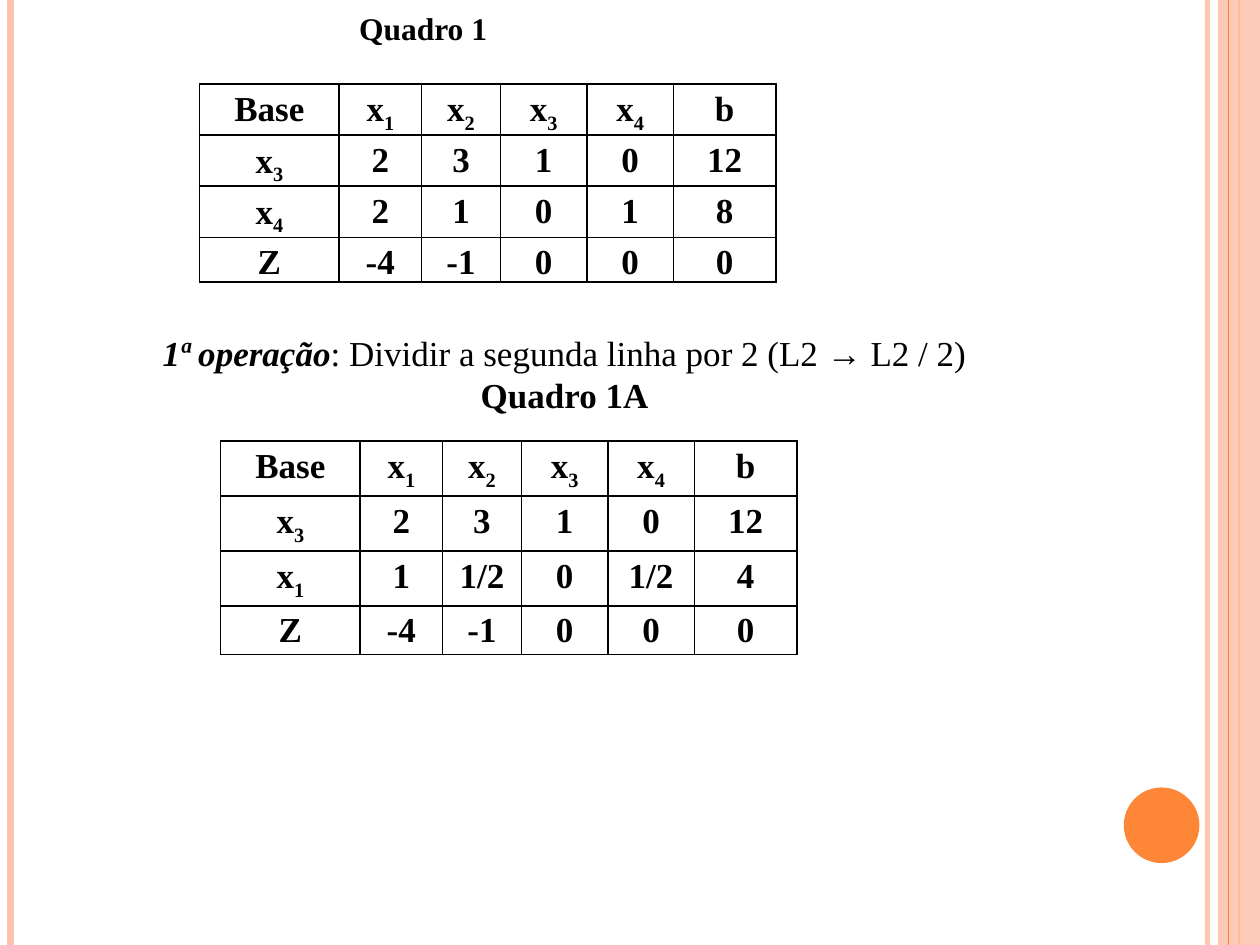
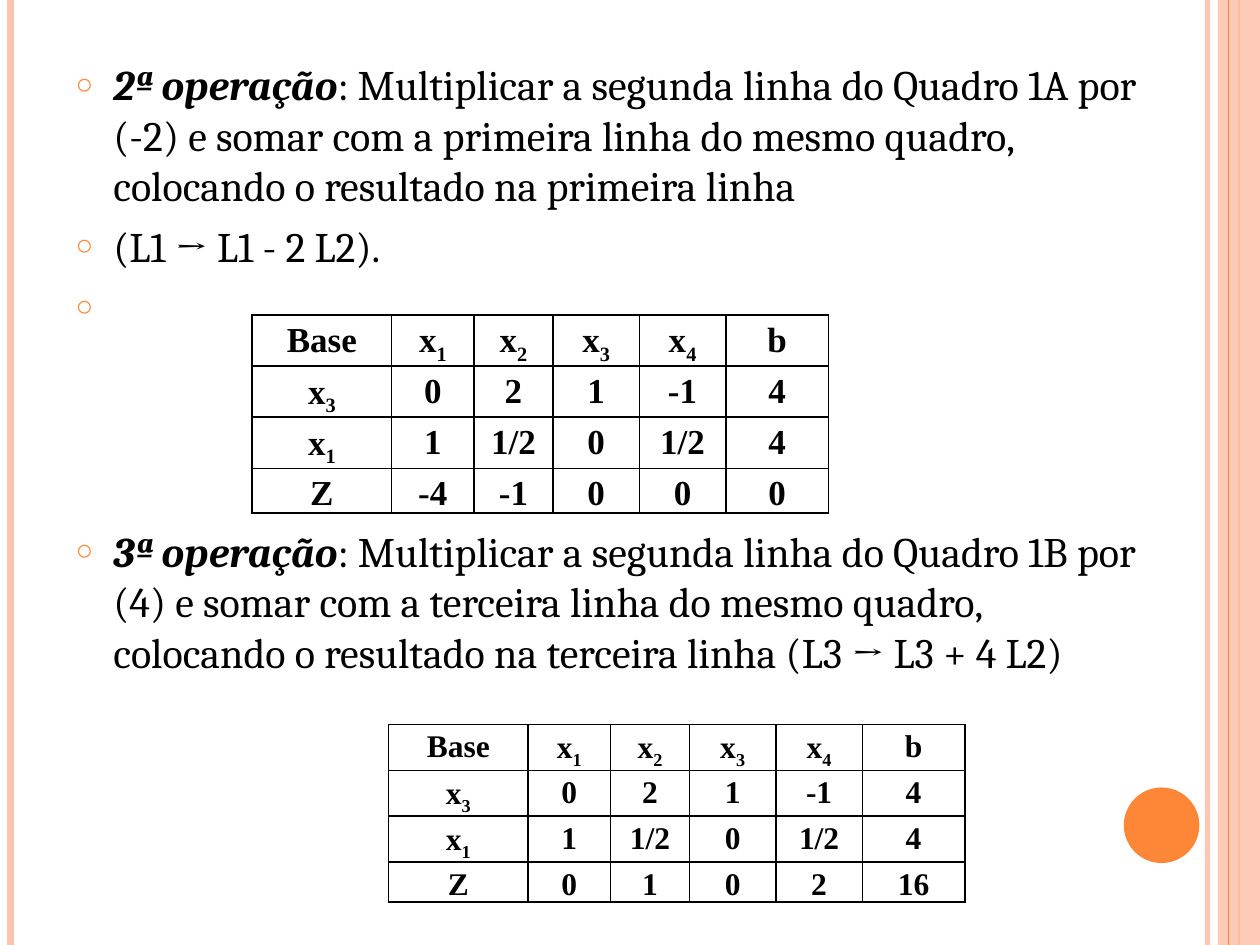
from pptx import Presentation
from pptx.dml.color import RGBColor
from pptx.enum.shapes import MSO_CONNECTOR, MSO_SHAPE
from pptx.enum.text import MSO_ANCHOR, MSO_AUTO_SIZE, PP_ALIGN
from pptx.oxml import parse_xml
from pptx.oxml.ns import nsdecls
from pptx.util import Pt
from lxml.etree import SubElement

ORANGE = RGBColor(0xFE, 0x86, 0x37)
PEACH = RGBColor(0xFE, 0xC3, 0xAE)
BLACK = RGBColor(0, 0, 0)
SERIF = "Times New Roman"
BODY_FONT = "Cambria"
PAGE_WIDTH, PAGE_HEIGHT = 720, 540
COLUMN_WIDTHS = [79.8, 47.1, 45.1, 49.4, 49.4, 58.6]
HEADER = ["Base", "x1", "x2", "x3", "x4", "b"]
BODY_SPACING = 6
BODY_LINE = 28.9


def add_tableau(slide, left, top, rows, size, row_height, last_height):
    frame = slide.shapes.add_table(len(rows) + 1, len(HEADER), Pt(left), Pt(top),
                                   Pt(sum(COLUMN_WIDTHS)),
                                   Pt(row_height * len(rows) + last_height))
    tableau = frame.table
    tableau.first_row = tableau.horz_banding = False
    for column, width in zip(tableau.columns, COLUMN_WIDTHS):
        column.width = Pt(width)
    for row in tableau.rows:
        row.height = Pt(row_height)
    tableau.rows[len(rows)].height = Pt(last_height)
    for r, values in enumerate([HEADER] + rows):
        for c, value in enumerate(values):
            cell = tableau.cell(r, c)
            cell.margin_left = cell.margin_right = Pt(5)
            cell.margin_top = cell.margin_bottom = 0
            for side in ("lnL", "lnR", "lnT", "lnB"):
                cell._tc.get_or_add_tcPr().append(parse_xml(
                    f'<a:{side} {nsdecls("a")} w="{Pt(1)}"><a:solidFill>'
                    f'<a:srgbClr val="{BLACK}"/></a:solidFill></a:{side}>'))
            cell.fill.background()
            paragraph = cell.text_frame.paragraphs[0]
            paragraph.alignment = PP_ALIGN.CENTER
            paragraph.line_spacing = 1.15
            paragraph.space_after = Pt(10)
            style_font(paragraph.font, SERIF, size, bold=True)
            if value.startswith("x"):
                paragraph.add_run().text = "x"
                index = paragraph.add_run()
                index.text = value[1:]
                index._r.get_or_add_rPr().set("baseline", "-25000")
            else:
                paragraph.add_run().text = value


def style_font(font, name, size, bold=False):
    font.name = name
    font.size = Pt(size)
    font.bold = bold
    font.color.rgb = BLACK


prs = Presentation()
prs.slide_width, prs.slide_height = Pt(PAGE_WIDTH), Pt(PAGE_HEIGHT)
first_slide = prs.slides.add_slide(prs.slide_layouts[5])
second_slide = prs.slides.add_slide(prs.slide_layouts[1])

stripes = []
for x, color, width in [(690, PEACH, 3), (6, PEACH, 4.5),
                        (702, ORANGE, 0.75), (708, ORANGE, 1.5)]:
    stripe = first_slide.shapes.add_connector(
        MSO_CONNECTOR.STRAIGHT, Pt(x), 0, Pt(x), Pt(PAGE_HEIGHT))
    stripe.line.color.rgb = color
    stripe.line.width = Pt(width)
    SubElement(stripe._element.spPr, "{http://schemas.openxmlformats.org/drawingml/2006/main}effectLst")
    stripes.append(stripe)
band = first_slide.shapes.add_shape(MSO_SHAPE.RECTANGLE, Pt(696), 0, Pt(24), Pt(PAGE_HEIGHT))
disc = first_slide.shapes.add_shape(MSO_SHAPE.OVAL, Pt(642.2), Pt(450), Pt(43.2), Pt(43.2))
for ornament, color in [(band, PEACH), (disc, ORANGE)]:
    ornament.shadow.inherit = False
    ornament.fill.solid()
    ornament.fill.fore_color.rgb = color
    ornament.line.fill.background()
for ornament, opacity in [(stripes[0], 93), (band, 87)]:
    tint = ornament._element.spPr.xpath(".//a:srgbClr")[0]
    tint.append(parse_xml(f'<a:alpha {nsdecls("a")} val="{opacity * 1000}"/>'))

master_tree = prs.slide_master.shapes.element
for number, ornament in enumerate([*stripes[:2], stripes[3], band, stripes[2], disc], 100):
    ornament._element.xpath(".//p:cNvPr")[0].set("id", str(number))
    master_tree.append(ornament._element)

heading = first_slide.shapes.title
heading.left, heading.top, heading.width, heading.height = Pt(198), 0, Pt(100), Pt(32)
heading.text_frame.text = "Quadro 1"
heading.text_frame.auto_size = MSO_AUTO_SIZE.NONE
heading.text_frame.vertical_anchor = MSO_ANCHOR.MIDDLE
heading.text_frame.paragraphs[0].alignment = PP_ALIGN.LEFT
style_font(heading.text_frame.paragraphs[0].font, SERIF, 18, bold=True)

add_tableau(first_slide, 114, 48,
            [["x3", "2", "3", "1", "0", "12"],
             ["x4", "2", "1", "0", "1", "8"],
             ["Z", "-4", "-1", "0", "0", "0"]], 20, 29.1, 25.6)

operation = first_slide.shapes.add_textbox(Pt(84), Pt(186), Pt(477.4), Pt(55.4)).text_frame
operation.word_wrap = True
operation.vertical_anchor = MSO_ANCHOR.MIDDLE
step = operation.paragraphs[0]
caption = operation.add_paragraph()
for paragraph, bold in [(step, False), (caption, True)]:
    paragraph.alignment = PP_ALIGN.CENTER
    style_font(paragraph.font, SERIF, 20, bold)
step_name = step.add_run()
step_name.text = "1ª operação"
step_name.font.bold = step_name.font.italic = True
step.add_run().text = ": Dividir a segunda linha por 2 (L2 → L2 / 2)"
caption.text = "Quadro 1A"

add_tableau(first_slide, 126, 252,
            [["x3", "2", "3", "1", "0", "12"],
             ["x1", "1", "1/2", "0", "1/2", "4"],
             ["Z", "-4", "-1", "0", "0", "0"]], 20, 31.4, 27.7)

unused_title = second_slide.shapes.title.element
unused_title.getparent().remove(unused_title)
body = second_slide.placeholders[1]
body.left, body.top, body.width, body.height = Pt(36), Pt(30), Pt(636), Pt(480)
body.text_frame.auto_size = MSO_AUTO_SIZE.NONE
table_gap = BODY_SPACING + 3 * (BODY_LINE + BODY_SPACING)
operations = [
    ("2ª operação", ": Multiplicar a segunda linha do Quadro 1A por (-2) e somar com a "
     "primeira linha do mesmo quadro, colocando o resultado na primeira linha", BODY_SPACING),
    ("", "(L1 → L1 - 2 L2).", BODY_SPACING),
    ("", " ", BODY_SPACING),
    ("3ª operação", ": Multiplicar a segunda linha do Quadro 1B por (4) e somar com a "
     "terceira linha do mesmo quadro, colocando o resultado na terceira linha "
     "(L3 → L3 + 4 L2)", table_gap),
]
for i, (name, description, space_before) in enumerate(operations):
    paragraph = body.text_frame.add_paragraph() if i else body.text_frame.paragraphs[0]
    paragraph.space_before = Pt(space_before)
    style_font(paragraph.font, BODY_FONT, 24)
    if name:
        lead = paragraph.add_run()
        lead.text = name
        lead.font.bold = lead.font.italic = True
    paragraph.add_run().text = description
    properties = paragraph._p.get_or_add_pPr()
    properties.set("marL", str(Pt(21.6)))
    properties.set("indent", str(-Pt(21.6)))
    bullet = [f'<a:buClr {nsdecls("a")}><a:srgbClr val="{ORANGE}"/></a:buClr>',
              f'<a:buSzPct {nsdecls("a")} val="70000"/>',
              f'<a:buChar {nsdecls("a")} char="○"/>']
    defaults = properties.xpath("a:defRPr")[0]
    for part in bullet:
        defaults.addprevious(parse_xml(part))

add_tableau(second_slide, 144, 180,
            [["x3", "0", "2", "1", "-1", "4"],
             ["x1", "1", "1/2", "0", "1/2", "4"],
             ["Z", "-4", "-1", "0", "0", "0"]], 20, 29.1, 25.6)
add_tableau(second_slide, 222, 414,
            [["x3", "0", "2", "1", "-1", "4"],
             ["x1", "1", "1/2", "0", "1/2", "4"],
             ["Z", "0", "1", "0", "2", "16"]], 18, 26.2, 22.9)

prs.save("out.pptx")
